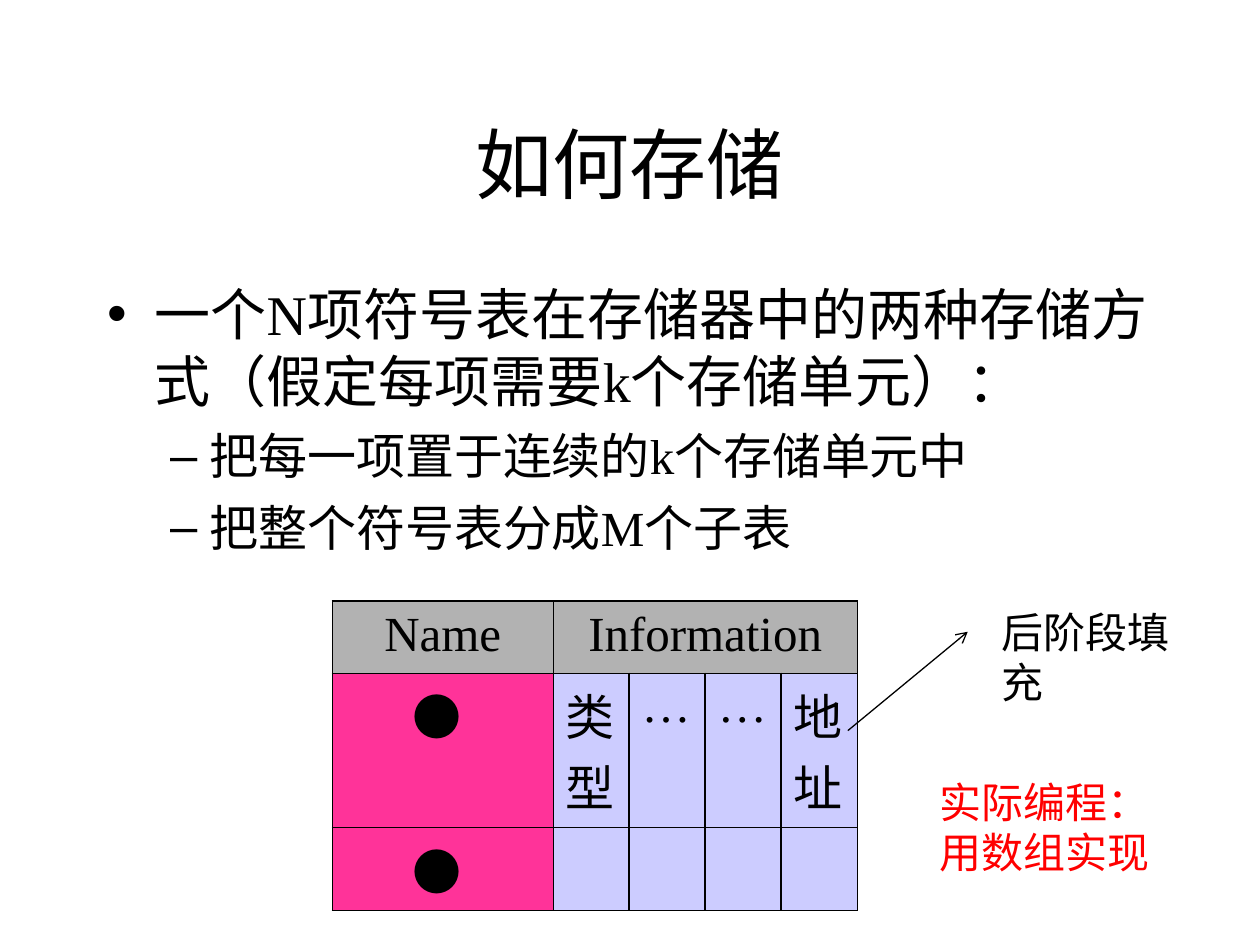
from pptx import Presentation
from pptx.dml.color import RGBColor
from pptx.enum.shapes import MSO_CONNECTOR
from pptx.enum.text import MSO_ANCHOR, MSO_AUTO_SIZE, PP_ALIGN
from pptx.oxml import parse_xml
from pptx.oxml.ns import nsdecls
from pptx.util import Pt

FONT, CJK = "Times New Roman", "Noto Sans CJK SC"


def rgb(value):
    return RGBColor.from_string(value)


def style(p, size, color="000000", name=FONT):
    p.font.size, p.font.name = Pt(size), name
    p.font.color.rgb = rgb(color)


prs = Presentation()
prs.slide_width, prs.slide_height = Pt(720), Pt(540)
s = prs.slides.add_slide(prs.slide_layouts[1])

# Title
title = s.shapes.title
title.left, title.top, title.width, title.height = Pt(54), Pt(48), Pt(612), Pt(90)
tf = title.text_frame
tf.text = "如何存储"
tf.auto_size = MSO_AUTO_SIZE.NONE
tf.vertical_anchor = MSO_ANCHOR.MIDDLE
tf.paragraphs[0].alignment = PP_ALIGN.CENTER
style(tf.paragraphs[0], 44)

# Bulleted list
body = s.placeholders[1]
body.left, body.top, body.width, body.height = Pt(54), Pt(156), Pt(612), Pt(324)
tf = body.text_frame
tf.auto_size = MSO_AUTO_SIZE.NONE
items = [
    (0, 32, 0, "一个N项符号表在存储器中的两种存储方式（假定每项需要k个存储单元）："),
    (1, 28, 7, "把每一项置于连续的k个存储单元中"),
    (1, 28, 7, "把整个符号表分成M个子表"),
]
for i, (level, size, before, text) in enumerate(items):
    p = tf.add_paragraph() if i else tf.paragraphs[0]
    p.text, p.level, p.space_before = text, level, Pt(before)
    style(p, size)

# Symbol table
rows = [
    ["Name", "Information", "", "", ""],
    ["● ", "类型", "…", "…", "地址"],
    ["● ", "", "", "", ""],
]
widths = [126] + [43.5] * 4
heights = [41, 74, 41]
table = s.shapes.add_table(3, 5, Pt(190), Pt(343.5), Pt(sum(widths)), Pt(sum(heights))).table
for col, width in zip(table.columns, widths):
    col.width = Pt(width)
for row, height in zip(table.rows, heights):
    row.height = Pt(height)
table.cell(0, 1).merge(table.cell(0, 4))

THICK, THIN = 1.08, 0.45
col_lines = [THICK, THIN, THICK, THICK, THICK, THICK]
row_lines = [THICK, THIN, THIN, THICK]
for r, texts in enumerate(rows):
    for c, text in enumerate(texts):
        cell = table.cell(r, c)
        # Borders come before the fill in the cell properties
        edges = {"lnL": col_lines[c], "lnR": col_lines[c + 1],
                 "lnT": row_lines[r], "lnB": row_lines[r + 1]}
        for tag, width in edges.items():
            cell._tc.get_or_add_tcPr().append(parse_xml(
                f'<a:{tag} {nsdecls("a")} w="{Pt(width)}"><a:solidFill>'
                f'<a:srgbClr val="000000"/></a:solidFill></a:{tag}>'))
        cell.fill.solid()
        cell.fill.fore_color.rgb = rgb("B2B2B2" if r == 0 else "CCCCFF" if c else "FF3399")
        if text:
            p = cell.text_frame.paragraphs[0]
            p.text = text
            p.alignment = PP_ALIGN.CENTER if r == 0 or c == 0 else PP_ALIGN.LEFT
            style(p, 28, name=CJK if r and c == 0 else FONT)

# Arrow from the address column to its note
arrow = s.shapes.add_connector(MSO_CONNECTOR.STRAIGHT, Pt(484.5), Pt(417.5), Pt(553), Pt(361))
arrow.line.color.rgb = rgb("000000")
arrow.line.width = Pt(0.75)
arrow.line._get_or_add_ln().append(parse_xml(f'<a:tailEnd {nsdecls("a")} type="arrow"/>'))
arrow._element.spPr.append(parse_xml(f'<a:effectLst {nsdecls("a")}/>'))

# Notes
notes = [
    ("后阶段填充", 565, 343, 134, 36, "000000", False),
    ("实际编程：用数组实现", 530, 440, 142, 65, "FF0000", True),
]
for text, left, top, width, height, color, wrap in notes:
    tf = s.shapes.add_textbox(Pt(left), Pt(top), Pt(width), Pt(height)).text_frame
    tf.word_wrap = wrap
    tf.auto_size = MSO_AUTO_SIZE.SHAPE_TO_FIT_TEXT
    tf.text = text
    style(tf.paragraphs[0], 24, color)

prs.save("out.pptx")
